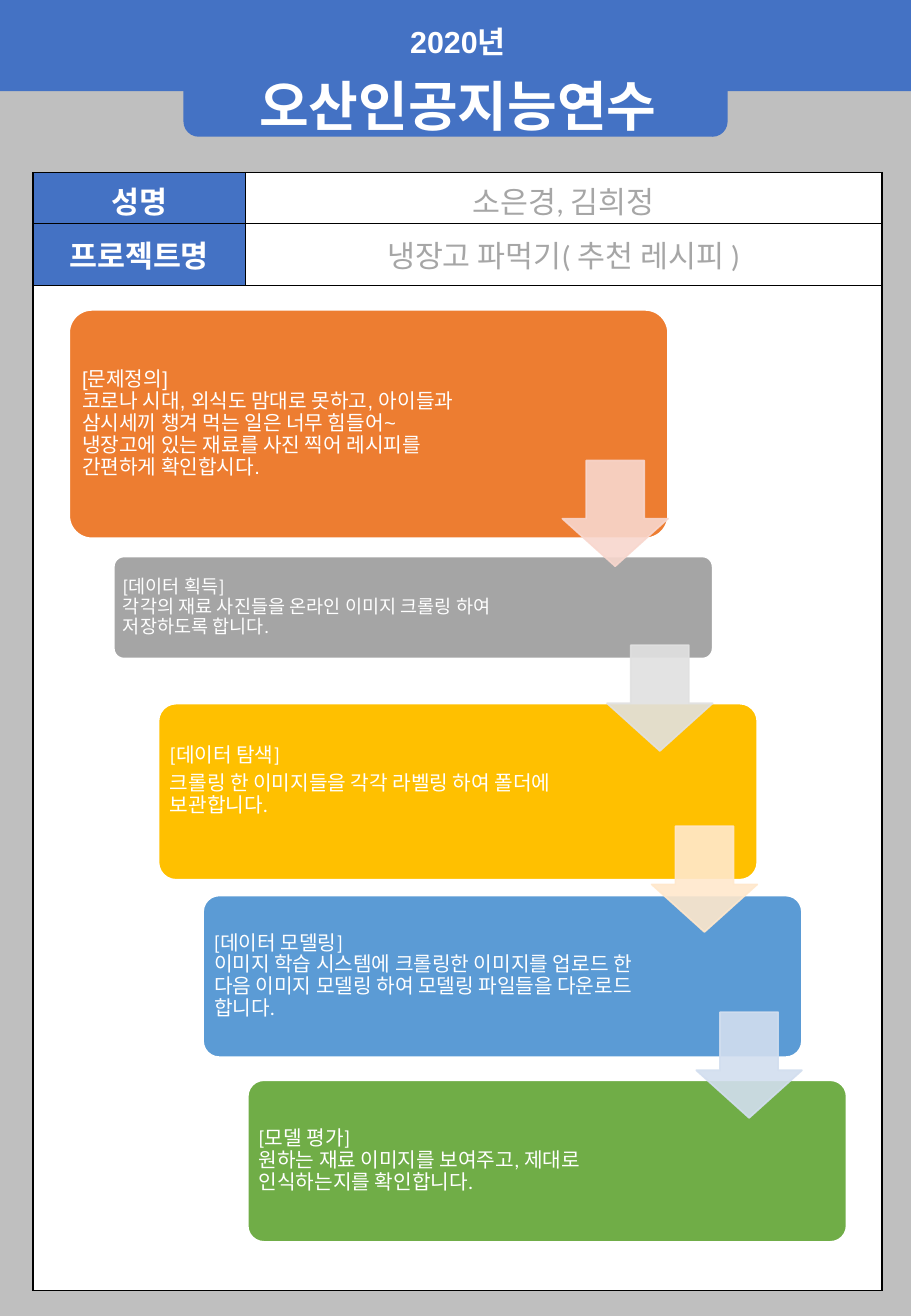
import pptx
import pptx.util
import pptx.dml.color
import pptx.enum.shapes
import pptx.enum.text
import pptx.oxml
import pptx.oxml.ns
from dataclasses import dataclass

Inches, Pt = pptx.util.Inches, pptx.util.Pt
MSO = pptx.enum.shapes.MSO_SHAPE
ALIGN, ANCHOR = pptx.enum.text.PP_ALIGN, pptx.enum.text.MSO_ANCHOR


@dataclass(frozen=True)
class Theme:
    blue: str = "4472C4"
    grey: str = "BFBFBF"
    white: str = "FFFFFF"
    black: str = "000000"
    answer: str = "A6A6A6"
    cards: tuple = ("ED7D31", "A5A5A5", "FFC000", "5B9BD5", "70AD47")
    arrows: tuple = ("F8D7CE", "E1E1E1", "FFE8CC", "D2DEEF")
    title: int = 32
    label: int = 18
    body: int = 12
    small: int = 11
    head_font: str = "Arial"
    body_font: str = "Calibri"


T = Theme()


def rgb(color):
    return pptx.dml.color.RGBColor.from_string(color)


def apply(obj, values):
    for name, value in values.items():
        setattr(obj, name, value)


def add_shape(slide, kind, box, fill, line=None, adj=(), alpha=None):
    sp = slide.shapes.add_shape(kind, *map(Inches, box))
    sp.shadow.inherit = False
    for i, value in enumerate(adj):
        sp.adjustments[i] = value
    sp.fill.solid()
    sp.fill.fore_color.rgb = rgb(fill)
    if line:
        sp.line.color.rgb = rgb(line)
        sp.line.width = Pt(1)
    else:
        sp.line.fill.background()
    if alpha:
        for clr in sp._element.spPr.iter(pptx.oxml.ns.qn("a:srgbClr")):
            clr.append(pptx.oxml.parse_xml(
                f'<a:alpha {pptx.oxml.ns.nsdecls("a")} val="{alpha * 1000}"/>'))
    return sp


def write(p, text, size, color, font, bold=False, **layout):
    p.text = text
    apply(p, layout)
    for r in p.runs:
        apply(r.font, {"size": Pt(size), "name": font, "bold": bold})
        r.font.color.rgb = rgb(color)


def add_text(slide, box, lines, frame, **layout):
    """Each line is a tuple of text, size, colour, font and bold."""
    tf = slide.shapes.add_textbox(*map(Inches, box)).text_frame
    apply(tf, {"word_wrap": True, **frame})
    for i, line in enumerate(lines):
        p = tf.add_paragraph() if i else tf.paragraphs[0]
        write(p, *line, **layout)


def border_cell(cell):
    tcPr = cell._tc.get_or_add_tcPr()
    for i, side in enumerate("LRTB"):
        tcPr.insert(i, pptx.oxml.parse_xml(
            f'<a:ln{side} {pptx.oxml.ns.nsdecls("a")} w="12700"><a:solidFill>'
            f'<a:srgbClr val="{T.black}"/></a:solidFill></a:ln{side}>'))


# Banner with a rounded tab under it
def header(slide, x, y, w, h):
    band = 0.75
    add_shape(slide, MSO.RECTANGLE, (x, y + band, w, h - band), T.grey)
    tab = add_shape(slide, MSO.ROUND_2_SAME_RECTANGLE,
                    (x + 1.51, y + band / 2, 4.48, band), T.blue)
    tab.rotation = 180
    add_shape(slide, MSO.RECTANGLE, (x, y, w, band), T.blue)
    lines = [("2020년", T.label, T.white, T.head_font, True),
             ("오산인공지능연수", T.title, T.white, T.head_font, True)]
    add_text(slide, (x + 1.09, y + 0.08, 5.36, 1.05), lines,
             {"auto_size": pptx.enum.text.MSO_AUTO_SIZE.SHAPE_TO_FIT_TEXT},
             alignment=ALIGN.CENTER, line_spacing=1.2)


# Name and project rows above one wide merged cell
def form(slide, x, y, w, h):
    entries = [("성명", "소은경, 김희정"), ("프로젝트명", "냉장고 파먹기( 추천 레시피 )")]
    label_w, heights = 1.75, (0.42, 0.51)
    table = slide.shapes.add_table(3, 2, *map(Inches, (x, y, w, h))).table
    for col, width in zip(table.columns, (label_w, w - label_w)):
        col.width = Inches(width)
    for row, height in zip(table.rows, (*heights, h - sum(heights))):
        row.height = Inches(height)
    for cell in table.iter_cells():
        cell.fill.solid()
        cell.fill.fore_color.rgb = rgb(T.white)
        cell.vertical_anchor = ANCHOR.MIDDLE
        border_cell(cell)
    for r, entry in enumerate(entries):
        for c, text in enumerate(entry):
            cell = table.cell(r, c)
            write(cell.text_frame.paragraphs[0], text, T.label,
                  T.answer if c else T.white, T.body_font, not c,
                  alignment=ALIGN.CENTER)
        table.cell(r, 0).fill.fore_color.rgb = rgb(T.blue)
    table.cell(2, 0).merge(table.cell(2, 1))


# Staircase of cards, each joined to the next by an arrow
def steps(slide, x, y, w, h):
    # top, height, text width, size, font, bottom inset, paragraphs
    stages = [
        (0, 1.88, 3.31, T.body, T.head_font, 0.05,
         ["[문제정의]\v코로나 시대, 외식도 맘대로 못하고, 아이들과  삼시세끼 챙겨 먹는 "
          "일은 너무 힘들어~ 냉장고에 있는 재료를 사진 찍어 레시피를 간편하게 확인합시다."]),
        (2.03, 0.84, 3.65, T.small, T.body_font, 0.05,
         ["[데이터 획득]\v각각의 재료 사진들을 온라인 이미지 크롤링 하여 저장하도록 합니다."]),
        (3.24, 1.45, 3.62, T.body, T.body_font, 0.23,
         ["[데이터 탐색]", "크롤링 한 이미지들을 각각 라벨링 하여 폴더에 보관합니다."]),
        (4.82, 1.33, 3.62, T.body, T.body_font, 0.05,
         ["[데이터 모델링]\v이미지 학습 시스템에 크롤링한 이미지를 업로드 한 다음 "
          "이미지 모델링 하여 모델링 파일들을 다운로드 합니다."]),
        (6.34, 1.33, 3.62, T.body, T.body_font, 0.05,
         ["[모델 평가]\v원하는 재료 이미지를 보여주고, 제대로 인식하는지를 확인합니다."]),
    ]
    arrow_tops = (1.24, 2.76, 4.25, 5.78)
    card_w, arrow = 4.93, 0.87
    shift = (w - card_w) / (len(stages) - 1)
    for i, (top, height, text_w, size, font, bottom, texts) in enumerate(stages):
        left, pad = x + i * shift, 0.03 * height
        add_shape(slide, MSO.ROUNDED_RECTANGLE, (left, y + top, card_w, height),
                  T.cards[i], T.white, [0.1])
        frame = {f"margin_{side}": Inches(0.05) for side in ("left", "right", "top")}
        frame.update(margin_bottom=Inches(bottom), vertical_anchor=ANCHOR.MIDDLE)
        add_text(slide, (left + pad, y + top + pad, text_w, height - 2 * pad),
                 [(text, size, T.white, font) for text in texts], frame,
                 line_spacing=0.9, space_after=Pt(4))
    for i, top in enumerate(arrow_tops):
        left = x + i * shift + card_w - arrow
        add_shape(slide, MSO.DOWN_ARROW, (left, y + top, arrow, arrow),
                  T.arrows[i], T.arrows[i], [0.55, 0.45], alpha=90)


prs = pptx.Presentation()
prs.slide_width, prs.slide_height = Inches(7.5), Inches(10.83)
slide = prs.slides.add_slide(prs.slide_layouts[6])
header(slide, 0, 0, 7.5, 10.83)
form(slide, 0.27, 1.42, 6.99, 9.2)
steps(slide, 0.57, 2.55, 6.4, 7.67)
prs.save("out.pptx")
